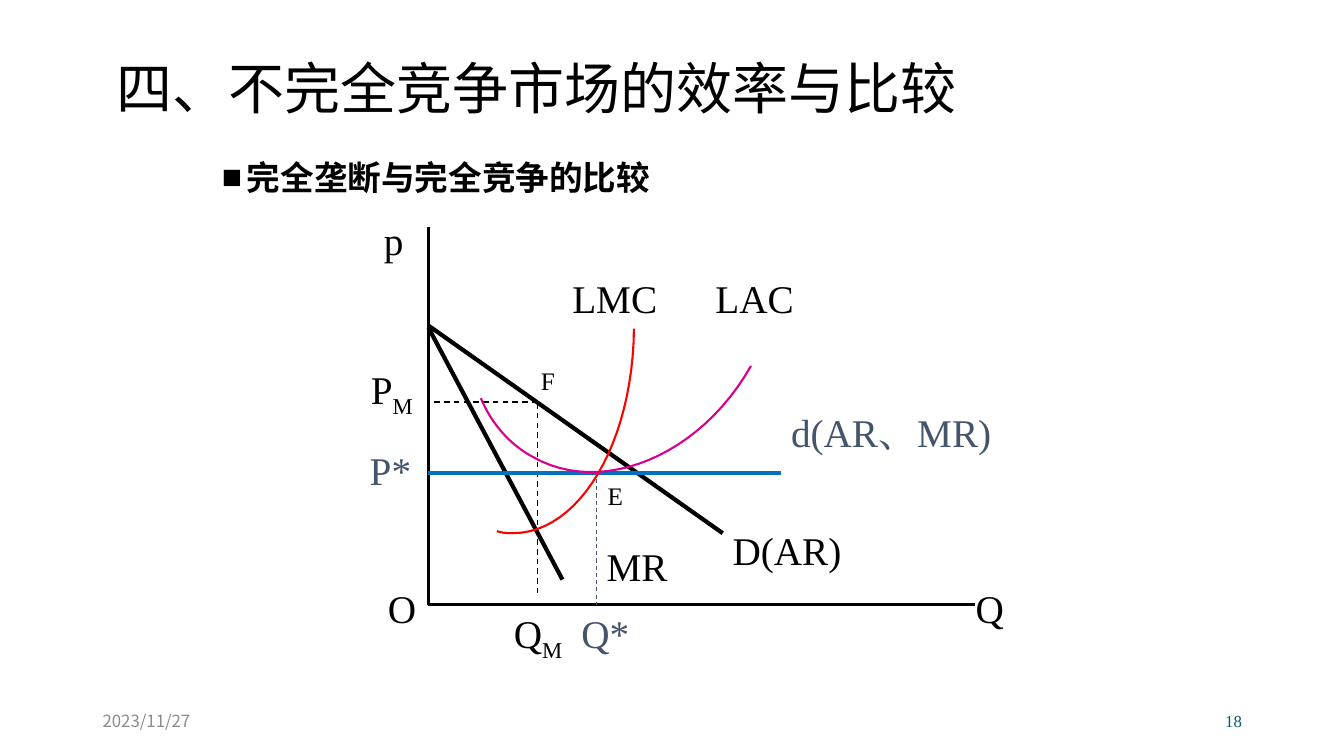
from lxml.etree import SubElement
from pptx import Presentation
from pptx.dml.color import RGBColor
from pptx.enum.dml import MSO_LINE
from pptx.enum.shapes import MSO_CONNECTOR
from pptx.enum.text import MSO_ANCHOR, MSO_AUTO_SIZE, PP_ALIGN
from pptx.oxml.ns import qn
from pptx.util import Pt

PX = 9144  # 100 px to the inch
SANS, SERIF = "Noto Sans CJK SC", "Times New Roman"
BLACK, SLATE, BLUE = "000000", "44546A", "0070C0"
rgb = RGBColor.from_string


def px(*lengths):
    return [round(v * PX) for v in lengths]


def write(sp, text, size=28, font=SERIF, color=BLACK, bold=False, sub="",
          align=PP_ALIGN.LEFT, anchor=MSO_ANCHOR.TOP):
    tf = sp.text_frame
    tf.word_wrap = True
    tf.auto_size = MSO_AUTO_SIZE.NONE
    tf.vertical_anchor = anchor
    p = tf.paragraphs[0]
    p.alignment = align
    p.space_before = Pt(0)
    for part in filter(None, (text, sub)):
        r = p.add_run()
        r.text = part
        r.font.size, r.font.bold, r.font.name = Pt(size), bold, font
        r.font.color.rgb = rgb(color)
        rPr = r.font._element
        SubElement(rPr, qn("a:ea"), typeface=font)
        if part == sub:
            rPr.set("baseline", "-25000")
    return p


prs = Presentation()
prs.slide_width, prs.slide_height = px(1333.33, 750)
s = prs.slides.add_slide(prs.slide_layouts[1])

# Title and bulleted heading
title, body = s.placeholders
title.left, title.top, title.width, title.height = px(106, 43, 900, 95)
p = write(title, "四、不完全竞争市场的效率与比较", size=40, font=SANS, anchor=MSO_ANCHOR.MIDDLE)
p.line_spacing = 0.9

body.left, body.top, body.width, body.height = px(210, 155, 900, 531)
p = write(body, "完全垄断与完全竞争的比较", size=24, font=SANS, bold=True)
pPr = p._p.get_or_add_pPr()
indent = px(25)[0]
pPr.set("marL", str(indent))
pPr.set("indent", str(-indent))
SubElement(pPr, qn("a:buChar"), char="■")
p.line_spacing = 0.9

# Date and page number
for left, text, fmt in [
    (92, "2023/11/27", dict(font=SANS, color="8C8C8C")),
    (942, "18", dict(color="045C75", align=PP_ALIGN.RIGHT)),
]:
    tb = s.shapes.add_textbox(*px(left, 695, 300, 40))
    write(tb, text, size=12, anchor=MSO_ANCHOR.MIDDLE, **fmt)

# Axes, guides, demand and revenue lines
for ends, color, width, dashed in [
    ((425, 225, 425, 600), BLACK, 2.25, False),  # price axis
    ((425, 600, 967, 600), BLACK, 2.25, False),  # quantity axis
    ((533, 400, 533, 592), BLACK, 1, True),      # F down to QM
    ((533, 399, 425, 399), BLACK, 1, True),      # F across to PM
    ((425, 323, 717, 529), BLACK, 3, False),     # D(AR)
    ((425, 325, 558, 575), BLACK, 3, False),     # MR
    ((425, 469, 775, 469), BLUE, 3, False),      # d(AR, MR)
    ((592, 468, 592, 600), SLATE, 0.75, True),   # E down to Q*
]:
    line = s.shapes.add_connector(MSO_CONNECTOR.STRAIGHT, *px(*ends))
    line.line.color.rgb = rgb(color)
    line.line.width = Pt(width)
    if dashed:
        line.line.dash_style = MSO_LINE.DASH
    SubElement(line._element.spPr, qn("a:effectLst"))

# LMC and LAC curves: chained cubic Béziers, sampled into short segments
STEPS = 24
for color, knots in [
    ("FF0000", [(493, 527), (499, 529), (504, 529), (509, 529),
                (575, 529), (628, 439), (629, 326)]),
    ("D60093", [(745, 363), (695, 452), (597, 493), (528, 453),
                (506, 441), (488, 421), (477, 395)]),
]:
    points = []
    for i in range(0, len(knots) - 1, 3):
        for n in range(1, STEPS + 1):
            t = n / STEPS
            weights = ((1 - t) ** 3, 3 * t * (1 - t) ** 2, 3 * t * t * (1 - t), t ** 3)
            points.append(px(*(sum(w * k[axis] for w, k in zip(weights, knots[i:i + 4]))
                               for axis in (0, 1))))
    outline = s.shapes.build_freeform(*px(*knots[0]), scale=1.0)
    outline.add_line_segments(points, close=False)
    curve = outline.convert_to_shape()
    curve.shadow.inherit = False
    curve.fill.background()
    curve.line.color.rgb = rgb(color)
    curve.line.width = Pt(1.5)

# Labels
POINT = dict(size=18, align=PP_ALIGN.CENTER)
for left, top, width, text, fmt in [
    (375, 575, 67, "O", {}),
    (958, 575, 67, "Q", {}),
    (371, 210, 67, "p", {}),
    (717, 517, 150, "D(AR)", {}),
    (592, 533, 104, "MR", {}),
    (700, 267, 150, "LAC", {}),
    (558, 267, 150, "LMC", {}),
    (577, 472, 67, "E", POINT),
    (510, 358, 67, "F", POINT),
    (500, 600, 92, "Q", dict(sub="M")),
    (358, 358, 92, "P", dict(sub="M")),
    (775, 400, 225, "d(AR、MR)", dict(color=SLATE)),
    (567, 600, 92, "Q*", dict(color=SLATE)),
    (357, 438, 67, "P*", dict(color=SLATE)),
]:
    height = 40 if fmt is POINT else 57
    write(s.shapes.add_textbox(*px(left, top, width, height)), text, **fmt)

prs.save("out.pptx")
